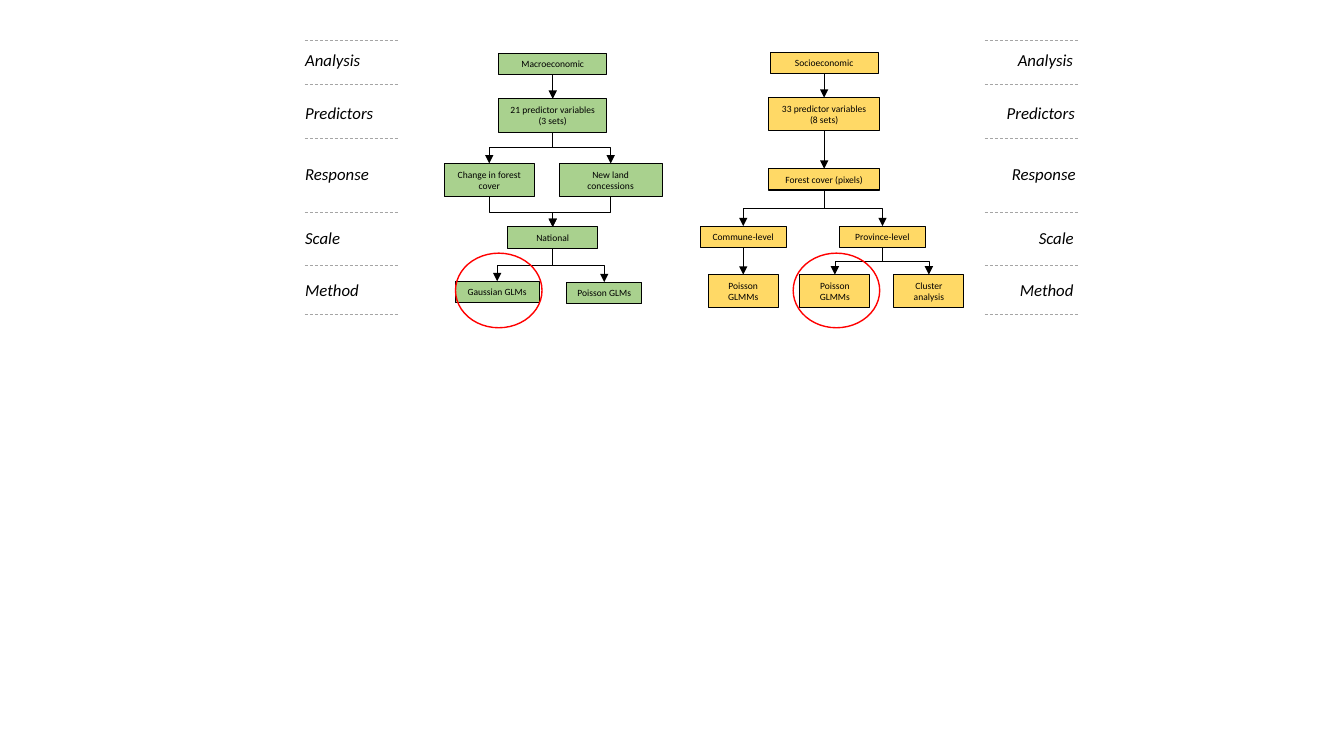
from dataclasses import dataclass

from pptx import Presentation
from pptx.dml import color
from pptx.enum import dml, shapes, text
from pptx.oxml import ns, xmlchemy
from pptx import util as u


@dataclass(frozen=True)
class Theme:
    """Colours, font and sizes used on the slide."""
    macro: str = "A9D18E"
    socio: str = "FFD966"
    ink: str = "000000"
    divider: str = "A5A5A5"
    highlight: str = "FF0000"
    font: str = "Calibri"
    box_size: float = 6.8
    label_size: float = 12


theme = Theme()


def add_text(shape, words, size, alignment, italic=False):
    """Fill a shape with one formatted paragraph."""
    frame = shape.text_frame
    frame.word_wrap = True
    frame.auto_size = text.MSO_AUTO_SIZE.SHAPE_TO_FIT_TEXT
    frame.text = words
    paragraph = frame.paragraphs[0]
    paragraph.alignment = alignment
    paragraph.font.name = theme.font
    paragraph.font.size = u.Pt(size)
    paragraph.font.italic = italic
    paragraph.font.color.rgb = color.RGBColor.from_string(theme.ink)


def add_line(kind, start, end, line_color):
    """Draw a thin connector without a shadow."""
    connector = slide.shapes.add_connector(kind, *start, *end)
    connector.line.width = u.Pt(0.5)
    connector.line.color.rgb = color.RGBColor.from_string(line_color)
    connector._element.spPr.append(xmlchemy.OxmlElement("a:effectLst"))
    return connector


presentation = Presentation()
presentation.slide_width = u.Cm(33.87)
presentation.slide_height = u.Cm(19.05)
slide = presentation.slides.add_slide(presentation.slide_layouts[6])

# Flowchart boxes: key, words, centre x, top, width, number of text lines
ONE_LINE, TWO_LINES = 0.54, 0.84
MACRO_X, SOCIO_X, COMMUNE_X = 13.93, 20.77, 18.73
macro_boxes = [
    ("macro", "Macroeconomic", MACRO_X, 1.34, 2.72, ONE_LINE),
    ("macro predictors", "21 predictor variables (3 sets)", MACRO_X, 2.49, 2.72, TWO_LINES),
    ("forest change", "Change in forest cover", 12.33, 4.12, 2.27, TWO_LINES),
    ("concessions", "New land concessions", 15.39, 4.12, 2.6, TWO_LINES),
    ("national", "National", MACRO_X, 5.72, 2.27, ONE_LINE),
    ("gaussian", "Gaussian GLMs", 12.53, 7.09, 2.12, ONE_LINE),
    ("poisson", "Poisson GLMs", 15.23, 7.11, 1.9, ONE_LINE),
]
socio_boxes = [
    ("socio", "Socioeconomic", SOCIO_X, 1.32, 2.72, ONE_LINE),
    ("socio predictors", "33 predictor variables (8 sets)", SOCIO_X, 2.46, 2.79, TWO_LINES),
    ("forest cover", "Forest cover (pixels)", SOCIO_X, 4.25, 2.79, ONE_LINE),
    ("commune", "Commune-level", COMMUNE_X, 5.7, 2.17, ONE_LINE),
    ("province", "Province-level", 22.24, 5.7, 2.17, ONE_LINE),
    ("commune poisson", "Poisson GLMMs", COMMUNE_X, 6.92, 1.76, TWO_LINES),
    ("province poisson", "Poisson GLMMs", 21.04, 6.92, 1.76, TWO_LINES),
    ("cluster", "Cluster analysis", 23.41, 6.92, 1.76, TWO_LINES),
]
boxes = {}
for fill, group in ((theme.macro, macro_boxes), (theme.socio, socio_boxes)):
    for key, words, centre, top, width, height in group:
        box = slide.shapes.add_shape(
            shapes.MSO_SHAPE.RECTANGLE,
            u.Cm(centre - width / 2), u.Cm(top), u.Cm(width), u.Cm(height))
        box.shadow.inherit = False
        box.fill.solid()
        box.fill.fore_color.rgb = color.RGBColor.from_string(fill)
        box.line.color.rgb = color.RGBColor.from_string(theme.ink)
        box.line.width = u.Pt(0.75)
        add_text(box, words, theme.box_size, text.PP_ALIGN.CENTER)
        boxes[key] = box

# Arrows run from the bottom of one box to the top of the next
arrows = [
    ("macro", "macro predictors"),
    ("macro predictors", "concessions"),
    ("macro predictors", "forest change"),
    ("concessions", "national"),
    ("forest change", "national"),
    ("national", "gaussian"),
    ("national", "poisson"),
    ("socio", "socio predictors"),
    ("socio predictors", "forest cover"),
    ("forest cover", "commune"),
    ("forest cover", "province"),
    ("province", "province poisson"),
    ("province", "cluster"),
    ("commune", "commune poisson"),
]
BOTTOM_SITE, TOP_SITE = 2, 0
for source, target in arrows:
    upper, lower = boxes[source], boxes[target]
    start = (upper.left + upper.width // 2, upper.top + upper.height)
    end = (lower.left + lower.width // 2, lower.top)
    across, down = end[0] - start[0], end[1] - start[1]
    is_bent = abs(across) > u.Cm(0.1)
    kind = shapes.MSO_CONNECTOR.ELBOW if is_bent else shapes.MSO_CONNECTOR.STRAIGHT
    arrow = add_line(kind, start, end, theme.ink)
    arrow.begin_connect(upper, BOTTOM_SITE)
    arrow.end_connect(lower, TOP_SITE)
    properties = arrow._element.spPr
    head = xmlchemy.OxmlElement("a:tailEnd")
    head.set("type", "triangle")
    properties.find(ns.qn("a:ln")).append(head)
    if is_bent:
        # A quarter turn makes the elbow leave and arrive vertically
        arrow.width, arrow.height = down, abs(across)
        arrow.left = (start[0] + end[0] - down) // 2
        arrow.top = (start[1] + end[1] - abs(across)) // 2
        transform = properties.find(ns.qn("a:xfrm"))
        transform.set("rot", str((270 if across > 0 else 90) * 60000))
        transform.set("flipH", "1" if across > 0 else "0")

# Row labels on both sides: words, top, width, left of the right-hand copy
LABEL_LEFT, LABEL_HEIGHT = 7.44, 0.76
row_labels = [
    ("Analysis", 1.14, 2.08, 25.4),
    ("Predictors", 2.46, 2.31, 25.12),
    ("Response", 4.01, 2.18, 25.25),
    ("Scale", 5.61, 1.47, 25.93),
    ("Method", 6.93, 1.96, 25.45),
]
for words, top, width, right_side in row_labels:
    for left in (LABEL_LEFT, right_side):
        label = slide.shapes.add_textbox(
            u.Cm(left), u.Cm(top), u.Cm(width), u.Cm(LABEL_HEIGHT))
        add_text(label, words, theme.label_size, text.PP_ALIGN.LEFT, italic=True)

# Dashed dividers between the rows
for left, right in ((7.68, 10.06), (24.82, 27.2)):
    for top in (1.02, 2.13, 3.49, 5.34, 6.68, 7.93):
        divider = add_line(shapes.MSO_CONNECTOR.STRAIGHT, (u.Cm(left), u.Cm(top)),
                           (u.Cm(right), u.Cm(top)), theme.divider)
        divider.line.dash_style = dml.MSO_LINE.DASH

# Rings around the highlighted methods
for left in (19.99, 11.48):
    ring = slide.shapes.add_shape(
        shapes.MSO_SHAPE.OVAL, u.Cm(left), u.Cm(6.38), u.Cm(2.18), u.Cm(1.88))
    ring.shadow.inherit = False
    ring.fill.background()
    ring.line.color.rgb = color.RGBColor.from_string(theme.highlight)
    ring.line.width = u.Pt(1)

presentation.save("out.pptx")
